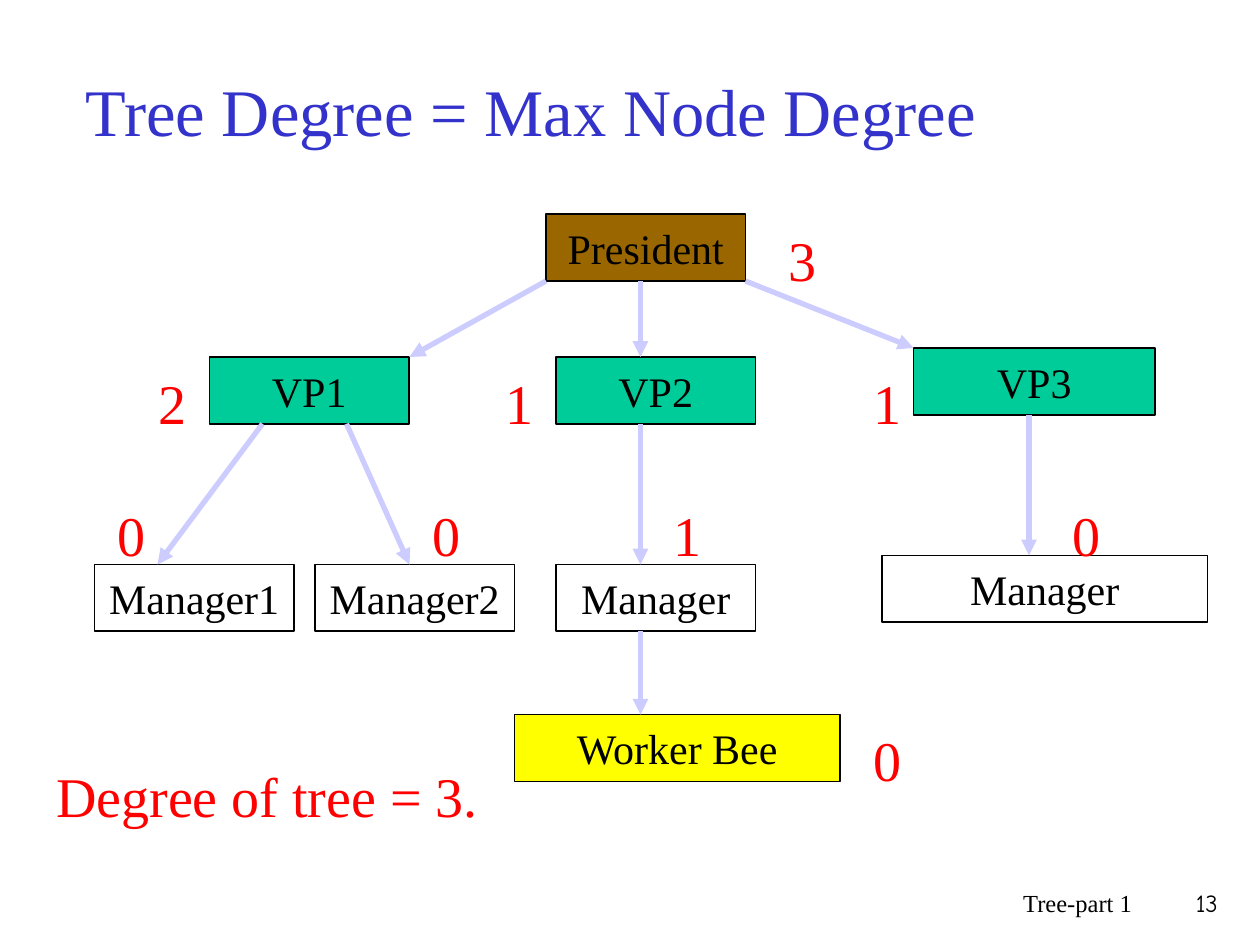
from dataclasses import dataclass
from typing import NamedTuple

from lxml.etree import SubElement
from pptx import Presentation
from pptx.dml.color import RGBColor
from pptx.enum.shapes import MSO_CONNECTOR as CONN, MSO_SHAPE as SHAPE
from pptx.enum.text import MSO_ANCHOR as ANCHOR, PP_ALIGN as ALIGN
from pptx.oxml.ns import qn
from pptx.util import Pt


@dataclass(frozen=True)
class Theme:
    font: str = "Times New Roman"
    number_font: str = "Comic Neue"
    title: str = "3333CC"
    degree: str = "FF0000"
    ink: str = "000000"
    arrow: str = "CCCCFF"
    president: str = "996600"
    vp: str = "00CC99"
    manager: str = "FFFFFF"
    worker: str = "FFFF00"
    title_size: float = 38
    degree_size: float = 32
    node_size: float = 24
    footer_size: float = 14


T = Theme()
NODE_H = 38.2
NODE_W = 114
DEGREE_H = 45.4


class Node(NamedTuple):
    text: str
    fill: str
    x: float
    y: float
    w: float = NODE_W


class Edge(NamedTuple):
    parent: str
    child: str
    x1: float
    x2: float


class Label(NamedTuple):
    text: str
    x: float
    y: float
    w: float
    h: float
    size: float
    color: str
    font: str = T.font
    align: ALIGN = ALIGN.LEFT
    anchor: ANCHOR = ANCHOR.TOP
    top: float = 3.6


def degree(text: str, x: float, y: float, w: float = 36) -> Label:
    return Label(text, x, y, w, DEGREE_H, T.degree_size, T.degree, top=6.5)


# Tree levels: top edge of each row
ROOT_Y, VP_Y, MANAGER_Y, WORKER_Y = 122.4, 204, 322.6, 408.4
DEGREE_Y = 279.4
RAISE = 5.2  # the right branch sits slightly higher

NODES = {
    "root": Node("President", T.president, 312, ROOT_Y),
    "vp1": Node("VP1", T.vp, 119.7, VP_Y),
    "vp2": Node("VP2", T.vp, 317.7, VP_Y),
    "vp3": Node("VP3", T.vp, 522, VP_Y - RAISE, 138),
    "m1": Node("Manager1", T.manager, 54, MANAGER_Y),
    "m2": Node("Manager2", T.manager, 180, MANAGER_Y),
    "m3": Node("Manager", T.manager, 317.7, MANAGER_Y),
    "m4": Node("Manager", T.manager, 504, MANAGER_Y - RAISE, 186),
    "worker": Node("Worker Bee", T.worker, 294, WORKER_Y, 186),
}

EDGES = [
    Edge("root", "vp2", 366, 366),
    Edge("root", "vp1", 312, 234),
    Edge("root", "vp3", 426, 522),
    Edge("vp1", "m1", 150, 90),
    Edge("vp1", "m2", 198, 234),
    Edge("vp2", "m3", 366, 366),
    Edge("vp3", "m4", 588, 588),
    Edge("m3", "worker", 366, 366),
]

LABELS = [
    Label("Tree Degree = Max Node Degree", 42, 18, 612, 90,
          T.title_size, T.title, anchor=ANCHOR.MIDDLE),
    degree("Degree of tree = 3.", 25, 428.4, 282),
    degree("3", 443.7, ROOT_Y, 48),
    degree("2", 83.7, VP_Y),
    degree("1", 281.7, VP_Y),
    degree("1", 492, VP_Y),
    degree("0", 60, DEGREE_Y),
    degree("0", 240, DEGREE_Y),
    degree("1", 378, DEGREE_Y),
    degree("0", 605.7, DEGREE_Y),
    degree("0", 492, WORKER_Y),
    Label("Tree-part 1", 426, 504, 228, 36, T.footer_size, T.ink, align=ALIGN.RIGHT),
    Label("13", 654, 504, 49, 36, T.footer_size, T.ink, T.number_font, ALIGN.RIGHT),
]


def rgb(value: str) -> RGBColor:
    return RGBColor.from_string(value)


def apply(obj, values: dict) -> None:
    for name, value in values.items():
        setattr(obj, name, value)


def write(sp, text: str, size: float, color: str, font: str,
          align: ALIGN, frame: dict) -> None:
    tf = sp.text_frame
    apply(tf, frame)
    p = tf.paragraphs[0]
    p.alignment = align
    r = p.add_run()
    r.text = text
    apply(r.font, {"size": Pt(size), "name": font})
    r.font.color.rgb = rgb(color)


def draw_node(shapes, node: Node) -> None:
    sp = shapes.add_shape(SHAPE.RECTANGLE, Pt(node.x), Pt(node.y),
                          Pt(node.w), Pt(NODE_H))
    sp.shadow.inherit = False
    sp.fill.solid()
    sp.fill.fore_color.rgb = rgb(node.fill)
    sp.line.color.rgb = rgb(T.ink)
    sp.line.width = Pt(1)
    write(sp, node.text, T.node_size, T.ink, T.font, ALIGN.CENTER,
          {"word_wrap": False, "vertical_anchor": ANCHOR.MIDDLE})


def draw_edge(shapes, edge: Edge) -> None:
    y1 = NODES[edge.parent].y + NODE_H
    y2 = NODES[edge.child].y
    cx = shapes.add_connector(CONN.STRAIGHT, Pt(edge.x1), Pt(y1),
                              Pt(edge.x2), Pt(y2))
    cx.line.color.rgb = rgb(T.arrow)
    cx.line.width = Pt(3)
    sp_pr = cx._element.spPr
    SubElement(sp_pr.find(qn("a:ln")), qn("a:tailEnd"), type="triangle")
    SubElement(sp_pr, qn("a:effectLst"))


def draw_label(shapes, label: Label) -> None:
    sp = shapes.add_textbox(Pt(label.x), Pt(label.y), Pt(label.w), Pt(label.h))
    write(sp, label.text, label.size, label.color, label.font, label.align,
          {"word_wrap": True, "vertical_anchor": label.anchor,
           "margin_top": Pt(label.top)})


# Slide
prs = Presentation()
apply(prs, {"slide_width": Pt(720), "slide_height": Pt(540)})
s = prs.slides.add_slide(prs.slide_layouts[6])

# Tree, then its labels
for node in NODES.values():
    draw_node(s.shapes, node)
for edge in EDGES:
    draw_edge(s.shapes, edge)
for label in LABELS:
    draw_label(s.shapes, label)

prs.save("out.pptx")
